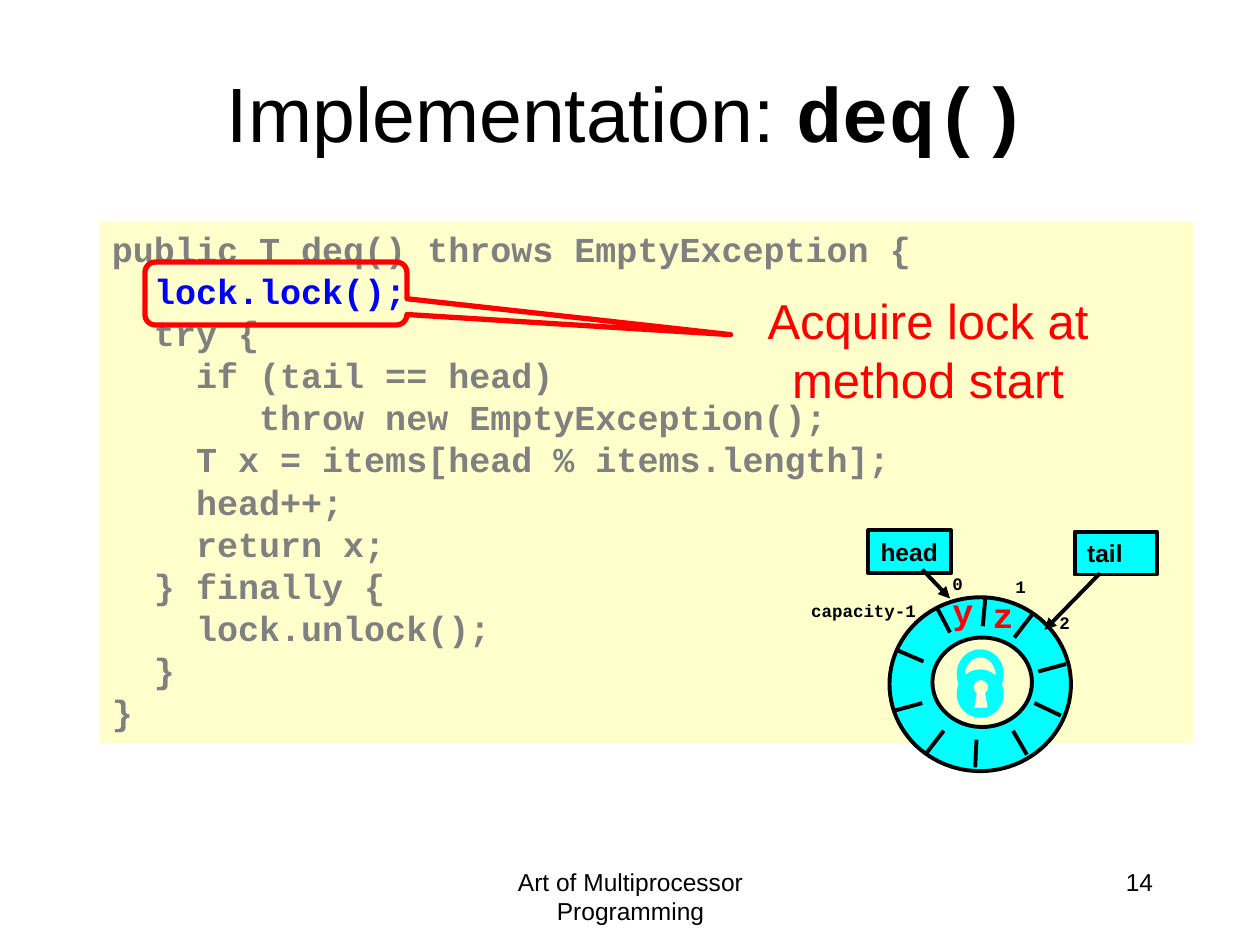
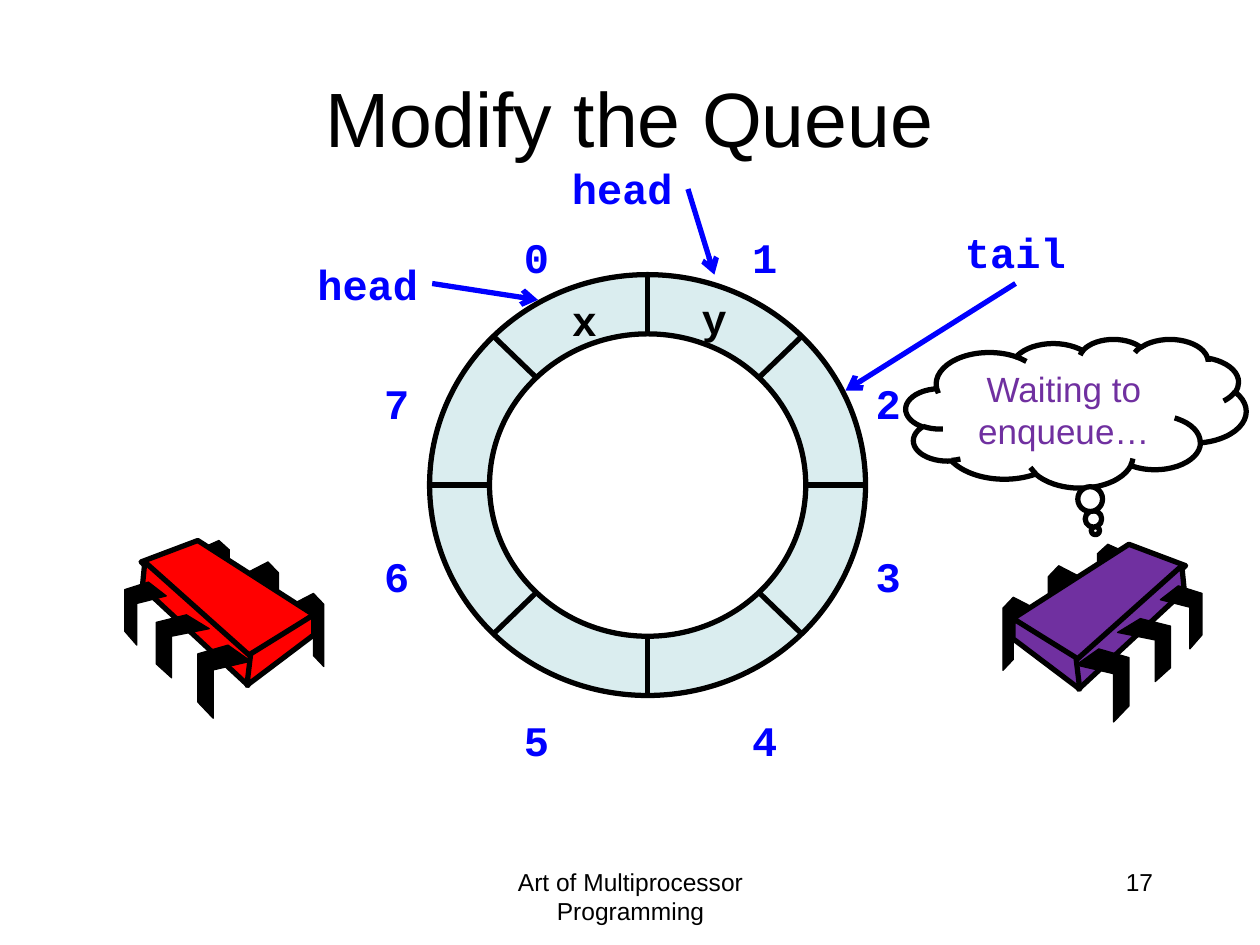
import math

import pptx
import pptx.dml.color
import pptx.enum.shapes
import pptx.enum.text
import pptx.oxml.ns
import pptx.util
from lxml import etree

KIND = pptx.enum.shapes.MSO_SHAPE
ALIGN = pptx.enum.text.PP_ALIGN
ANCHOR = pptx.enum.text.MSO_ANCHOR


class Theme:
    sans, mono = "Arial", "Courier New"
    black, white, gray = "000000", "FFFFFF", "808080"
    blue, red, purple = "0000FF", "FF0000", "7030A0"
    cream, cyan, ring = "FFFFCC", "00FFFF", "DAEDEF"
    title, callout, label, code, small, tiny = 44, 28, 24, 20, 14, 10
    hair, thin, medium, thick = 0.75, 1, 2.25, 3


FOOTER = "Art of Multiprocessor Programming"
FOOTER_BOX, NUMBER_BOX = (3.42, 6.83, 3.17, 0.5), (7.17, 6.83, 2.08, 0.5)

# Slide 14: code with the lock call pointed out
CODE = [
    "public T deq() throws EmptyException {",
    [("  ", {}), ("lock.lock();", {"color": Theme.blue})],
    "  try {",
    "    if (tail == head)",
    "       throw new EmptyException();",
    "    T x = items[head % items.length];",
    "    head++;",
    "    return x;",
    "  } finally {",
    "    lock.unlock();",
    "  }",
    "}",
]
SMALL_RING = [(7.06, 4.74, 1.44, 1.38, Theme.cyan), (7.4, 5.06, 0.79, 0.71, Theme.cream)]
SMALL_TICKS = [
    (7.35, 5.98, 7.49, 5.8), (8.05, 5.06, 8.19, 4.88), (8.24, 5.33, 8.46, 5.27),
    (7.1, 5.64, 7.32, 5.58), (7.12, 5.16, 7.33, 5.25), (8.21, 5.58, 8.42, 5.68),
    (7.44, 4.83, 7.54, 5.02), (7.82, 4.75, 7.8, 4.97), (8.04, 5.8, 8.15, 5.99),
    (7.75, 5.87, 7.74, 6.09),
]
SMALL_LABELS = [
    ("0", 7.46, 4.5, 0.28), ("1", 7.96, 4.52, 0.28),
    ("capacity-1", 6.34, 4.71, 1.04), ("2", 8.31, 4.81, 0.28),
]
POINTERS = [
    ("head", (6.89, 4.21, 0.66, 0.34), (7.32, 4.52, 7.54, 4.75)),
    ("tail", (8.53, 4.22, 0.65, 0.34), (8.73, 4.55, 8.29, 5)),
]
SMALL_ITEMS = [("y", 7.46, 4.63), ("z", 7.78, 4.66)]
PADLOCK = [
    (7.6, 5.16, 0.36, 0.38, Theme.cyan), (7.65, 5.21, 0.26, 0.3, Theme.cream),
    (7.6, 5.32, 0.36, 0.37, Theme.cyan), (7.72, 5.39, 0.13, 0.13, Theme.cream),
]
KEYHOLE = [(7.74, 5.61), (7.76, 5.5), (7.81, 5.5), (7.83, 5.61)]

# Slide 17: large ring, pointers and two threads
RING_CENTER = (5.14, 3.85)
RING_OUTER, RING_INNER = (1.73, 1.67), (1.255, 1.2)
SLOT_COLUMNS, SLOT_ROWS = (2.95, 4.06, 5.87, 6.85), (1.79, 2.95, 4.32, 5.62)
SLOT_CELLS = [(1, 0), (2, 0), (3, 1), (3, 2), (2, 3), (1, 3), (0, 2), (0, 1)]
RING_POINTERS = [
    ("head", 2.42, 2, (3.43, 2.25, 4.27, 2.38)),
    ("tail", 7.56, 1.75, (8.06, 2.25, 6.71, 3.1)),
    ("head", 4.44, 1.24, (5.46, 1.5, 5.67, 2.18)),
]
RING_ITEMS = [("y", 5.47, 2.27), ("x", 4.44, 2.29)]

# Leg outlines are shares of their box; body faces are in inches
BACK_LEG = [(0, 0.15), (0.67, 0), (1, 0.15), (1, 1), (0.67, 0.85), (0.67, 0.28), (0, 0.43)]
FRONT_LEG = [(0.57, 0), (1, 0.22), (0.29, 0.34), (0.29, 1), (0, 0.78), (0, 0.12)]
BACK_BOXES = [(2.32, 4.71, 0.25, 0.58), (1.96, 4.46, 0.25, 0.58), (1.57, 4.29, 0.25, 0.5)]
FRONT_BOXES = [(1.57, 5.12, 0.42, 0.58), (1.24, 4.88, 0.42, 0.5), (0.99, 4.62, 0.33, 0.5)]
BODY_FACES = [
    [(1.57, 4.29), (2.49, 4.88), (1.97, 5.22), (1.12, 4.46)],
    [(1.15, 4.46), (1.99, 5.21), (1.97, 5.44), (1.13, 4.66)],
    [(2.49, 4.88), (2.49, 5.04), (1.96, 5.44), (1.99, 5.19)],
]
MIRROR_SUM, MIRROR_DROP = 10.53, 0.03


def inches(values):
    return [pptx.util.Inches(value) for value in values]


def rgb(color):
    return pptx.dml.color.RGBColor.from_string(color)


def write(shape, lines, size, font=Theme.sans, color=Theme.black, bold=False,
          align=ALIGN.LEFT, anchor=ANCHOR.TOP, wrap=True):
    """Fill a shape; a line is a string or a list of (text, format changes)."""
    frame = shape.text_frame
    frame.word_wrap = wrap
    frame.vertical_anchor = anchor
    frame.auto_size = pptx.enum.text.MSO_AUTO_SIZE.NONE
    for index, line in enumerate(lines):
        para = frame.add_paragraph() if index else frame.paragraphs[0]
        para.alignment = align
        for text, changes in [(line, {})] if isinstance(line, str) else line:
            look = {"font": font, "color": color, "bold": bold, **changes}
            span = para.add_run()
            span.text = text
            span.font.name = look["font"]
            span.font.size = pptx.util.Pt(size)
            span.font.bold = look["bold"]
            span.font.color.rgb = rgb(look["color"])


def add_text(page, box, lines, size, **look):
    write(page.shapes.add_textbox(*inches(box)), lines, size, **look)


def paint(shape, fill, line, width):
    shape.shadow.inherit = False
    if fill:
        shape.fill.solid()
        shape.fill.fore_color.rgb = rgb(fill)
    else:
        shape.fill.background()
    if line:
        shape.line.color.rgb = rgb(line)
        shape.line.width = pptx.util.Pt(width)
    else:
        shape.line.fill.background()


def add_shape(page, kind, box, fill=None, line=Theme.black, width=Theme.medium, adjust=()):
    shape = page.shapes.add_shape(kind, *inches(box))
    for index, value in enumerate(adjust):
        shape.adjustments[index] = value
    paint(shape, fill, line, width)
    return shape


def add_outline(page, points, fill, line, width):
    corners = [inches(point) for point in points]
    builder = page.shapes.build_freeform(*corners[0], scale=1.0)
    builder.add_line_segments(corners[1:], close=True)
    paint(builder.convert_to_shape(), fill, line, width)


def add_line(page, ends, color=Theme.black, width=Theme.medium, head=None):
    straight = pptx.enum.shapes.MSO_CONNECTOR.STRAIGHT
    line = page.shapes.add_connector(straight, *inches(ends))
    line.line.color.rgb = rgb(color)
    line.line.width = pptx.util.Pt(width)
    name = pptx.oxml.ns.qn
    if head:
        etree.SubElement(line.line._get_or_add_ln(), name("a:tailEnd"), type=head)
    etree.SubElement(line._element.spPr, name("a:effectLst"))


def add_page(deck, title, title_box, number):
    page = deck.slides.add_slide(deck.slide_layouts[5])
    holder = page.shapes.title
    holder.left, holder.top, holder.width, holder.height = inches(title_box)
    write(holder, [title], Theme.title, align=ALIGN.CENTER, anchor=ANCHOR.MIDDLE)
    add_text(page, FOOTER_BOX, [FOOTER], Theme.small, align=ALIGN.CENTER)
    add_text(page, NUMBER_BOX, [str(number)], Theme.small, align=ALIGN.RIGHT)
    return page


def draw_small_queue(page):
    mono = {"font": Theme.mono, "bold": True, "wrap": False}
    for *box, fill in SMALL_RING:
        add_shape(page, KIND.OVAL, box, fill)
    for ends in SMALL_TICKS:
        add_line(page, ends)
    for text, left, top, width in SMALL_LABELS:
        add_text(page, (left, top, width, 0.27), [text], Theme.tiny, **mono)
    for text, box, ends in POINTERS:
        tag = add_shape(page, KIND.RECTANGLE, box, Theme.cyan)
        write(tag, [text], Theme.small, bold=True, wrap=text == "tail")
        add_line(page, ends, head="triangle")
    for text, left, top in SMALL_ITEMS:
        add_text(page, (left, top, 0.37, 0.43), [text], Theme.code, color=Theme.red, **mono)
    for *box, fill in PADLOCK:
        add_shape(page, KIND.OVAL, box, fill, Theme.cyan, Theme.thin)
    add_outline(page, KEYHOLE, Theme.cream, Theme.white, Theme.thin)


def draw_code_page(deck):
    title = [("Implementation: ", {}), ("deq()", {"font": Theme.mono, "bold": True})]
    page = add_page(deck, title, (0.73, 0.26, 8.5, 1.25), 14)
    panel = add_shape(page, KIND.RECTANGLE, (0.79, 1.76, 8.68, 4.14), Theme.cream, None)
    write(panel, CODE, Theme.code, font=Theme.mono, color=Theme.gray, bold=True)
    add_shape(page, KIND.ROUNDED_RECTANGULAR_CALLOUT, (1.15, 2.08, 2.08, 0.5),
              line=Theme.red, width=Theme.thick, adjust=(1.735, 0.653, 0.167))
    add_text(page, (5.62, 2.26, 3.49, 1.04), ["Acquire lock at method start"],
             Theme.callout, color=Theme.red, align=ALIGN.CENTER)
    draw_small_queue(page)


def draw_thread(page, color, mirrored=False):
    """Draw a six-legged thread, or its mirror image on the right."""
    def place(points):
        if not mirrored:
            return points
        return [(MIRROR_SUM - x, y + MIRROR_DROP) for x, y in points]

    def draw_legs(outline, boxes):
        for left, top, width, height in boxes:
            points = [(left + x * width, top + y * height) for x, y in outline]
            add_outline(page, place(points), Theme.black, Theme.black, Theme.hair)

    draw_legs(BACK_LEG, BACK_BOXES)
    for face in BODY_FACES:
        add_outline(page, place(face), color, Theme.black, Theme.thick)
    draw_legs(FRONT_LEG, FRONT_BOXES)


def draw_ring(page):
    center_x, center_y = RING_CENTER

    def draw_oval(radii, fill):
        reach_x, reach_y = radii
        box = (center_x - reach_x, center_y - reach_y, 2 * reach_x, 2 * reach_y)
        add_shape(page, KIND.OVAL, box, fill, width=Theme.thick)

    draw_oval(RING_OUTER, Theme.ring)
    slots = len(SLOT_CELLS)
    for step in range(slots // 2):
        angle = 2 * math.pi * step / slots
        across, down = RING_OUTER[0] * math.cos(angle), RING_OUTER[1] * math.sin(angle)
        add_line(page, (center_x - across, center_y - down, center_x + across, center_y + down),
                 width=Theme.thick)
    draw_oval(RING_INNER, Theme.white)


def draw_queue_page(deck):
    page = add_page(deck, "Modify the Queue", (0.5, 0.3, 9, 1.25), 17)
    mono = {"font": Theme.mono, "bold": True, "wrap": False}
    for text, left, top, ends in RING_POINTERS:
        add_text(page, (left, top, 1.02, 0.5), [text], Theme.label, color=Theme.blue, **mono)
        add_line(page, ends, Theme.blue, Theme.thick, "arrow")
    for slot, (column, row) in enumerate(SLOT_CELLS):
        box = (SLOT_COLUMNS[column], SLOT_ROWS[row], 0.41, 0.5)
        add_text(page, box, [str(slot)], Theme.label, color=Theme.blue, **mono)
    draw_thread(page, Theme.red)
    draw_thread(page, Theme.purple, mirrored=True)
    cloud = add_shape(page, KIND.CLOUD_CALLOUT, (7.19, 2.69, 2.7, 1.18), Theme.white,
                      width=Theme.thick, adjust=(0.057, 0.789))
    write(cloud, ["Waiting to enqueue…"], Theme.code, color=Theme.purple, align=ALIGN.CENTER)
    draw_ring(page)
    for text, left, top in RING_ITEMS:
        add_text(page, (left, top, 0.41, 0.5), [text], Theme.label, **mono)


def main():
    deck = pptx.Presentation()
    deck.slide_width, deck.slide_height = inches((10, 7.5))
    draw_code_page(deck)
    draw_queue_page(deck)
    deck.save("out.pptx")


if __name__ == "__main__":
    main()
